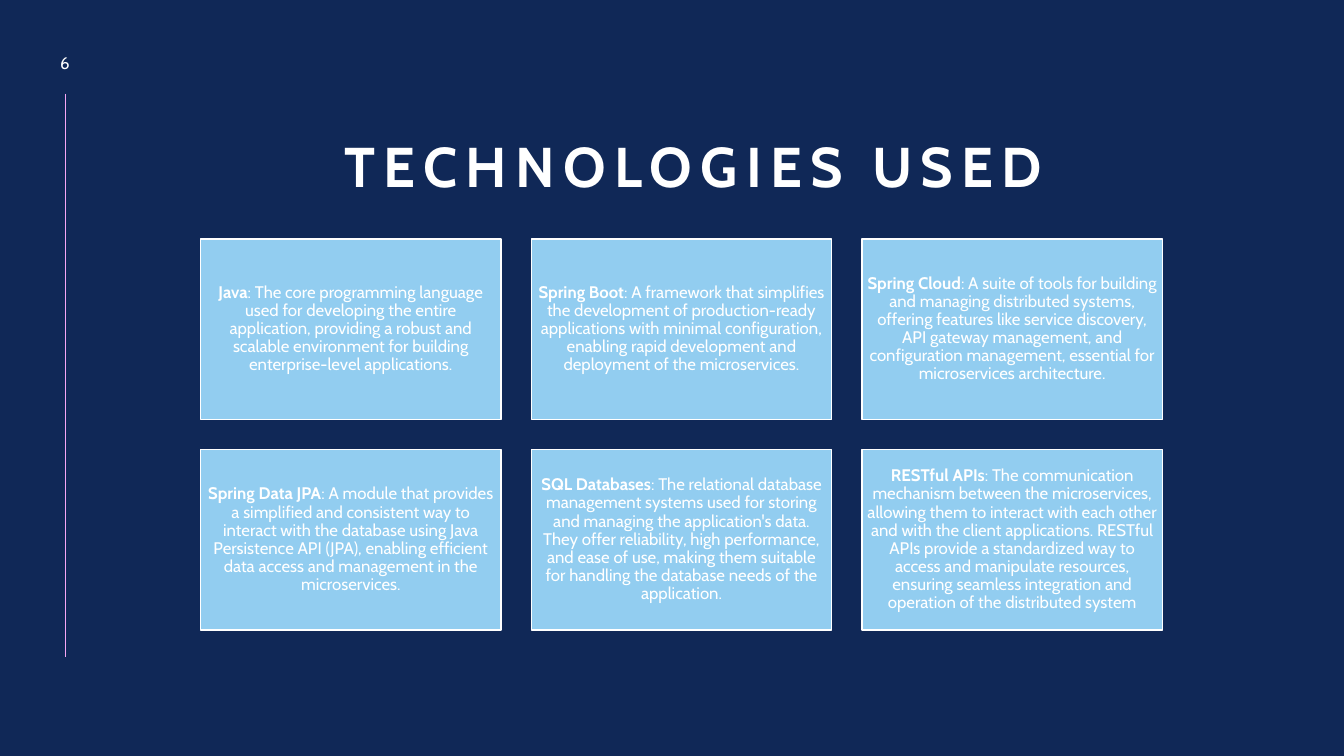
from dataclasses import dataclass

from lxml import etree
from pptx import Presentation
from pptx import util as u
from pptx.dml import color
from pptx.enum import shapes, text
from pptx.oxml import ns

COLOURS = {"navy": "102857", "sky": "92CDF0", "white": "FFFFFF", "pink": "F6A6F4"}
FONT = "Cabin"


@dataclass(frozen=True)
class Technology:
    name: str
    description: str


@dataclass(frozen=True)
class Grid:
    left: float
    top: float
    card_width: float
    card_height: float
    gap: float
    columns: int

    def cell(self, index: int) -> tuple[int, int, int, int]:
        row, column = divmod(index, self.columns)
        left = self.left + column * (self.card_width + self.gap)
        top = self.top + row * (self.card_height + self.gap)
        return inches(left, top, self.card_width, self.card_height)


GRID = Grid(left=1.99, top=2.37, card_width=2.98, card_height=1.79, gap=0.3, columns=3)
TECHNOLOGIES = [
    Technology("Java", "The core programming language used for developing the entire application, "
               "providing a robust and scalable environment for building enterprise-level applications."),
    Technology("Spring Boot", "A framework that simplifies the development of production-ready applications "
               "with minimal configuration, enabling rapid development and deployment of the microservices."),
    Technology("Spring Cloud", "A suite of tools for building and managing distributed systems, offering "
               "features like service discovery, API gateway management, and configuration management, "
               "essential for microservices architecture."),
    Technology("Spring Data JPA", "A module that provides a simplified and consistent way to interact with "
               "the database using Java Persistence API (JPA), enabling efficient data access and "
               "management in the microservices."),
    Technology("SQL Databases", "The relational database management systems used for storing and managing "
               "the application's data. They offer reliability, high performance, and ease of use, making "
               "them suitable for handling the database needs of the application."),
    Technology("RESTful APIs", "The communication mechanism between the microservices, allowing them to "
               "interact with each other and with the client applications. RESTful APIs provide a "
               "standardized way to access and manipulate resources, ensuring seamless integration and "
               "operation of the distributed system"),
]


def inches(*lengths: float) -> tuple[int, ...]:
    return tuple(u.Inches(length) for length in lengths)


def rgb(name: str) -> color.RGBColor:
    return color.RGBColor.from_string(COLOURS[name])


def add_span(para, words: str, *, size: float = 12, bold: bool = False, tracking: float = 0) -> None:
    span = para.add_run()
    span.text = words
    span.font.name = FONT
    span.font.size = u.Pt(size)
    span.font.bold = bold
    span.font.color.rgb = rgb("white")
    if tracking:
        span._r.get_or_add_rPr().set("spc", str(round(tracking * 100)))


def format_frame(box, *, anchor=text.MSO_ANCHOR.MIDDLE, line_spacing: float = 0.9,
                 inset: float | None = None):
    frame = box.text_frame
    frame.word_wrap = True
    frame.auto_size = text.MSO_AUTO_SIZE.NONE
    frame.vertical_anchor = anchor
    if inset is not None:
        frame.margin_left = frame.margin_right = u.Inches(inset)
        frame.margin_top = frame.margin_bottom = u.Inches(inset)
    para = frame.paragraphs[0]
    para.alignment = text.PP_ALIGN.CENTER
    para.line_spacing = line_spacing
    return para


def add_title(page, words: str) -> None:
    title = page.shapes.title
    title.left, title.top, title.width, title.height = inches(0.93, 0.86, 11.9, 1.17)
    para = format_frame(title, anchor=text.MSO_ANCHOR.BOTTOM)
    add_span(para, words, size=40, bold=True, tracking=6)


def add_page_number(page, number: int) -> None:
    box = page.shapes.add_textbox(*inches(0.36, 0.45, 0.57, 0.34))
    add_span(format_frame(box, line_spacing=1.0), str(number))


def add_side_rule(page) -> None:
    rule = page.shapes.add_connector(shapes.MSO_CONNECTOR.STRAIGHT, *inches(0.65, 0.93, 0.65, 6.52))
    rule.line.color.rgb = rgb("pink")
    rule.line.width = u.Pt(0.5)
    etree.SubElement(rule._element.spPr, ns.qn("a:effectLst"))


def add_card(page, technology: Technology, cell: tuple[int, int, int, int]) -> None:
    card = page.shapes.add_shape(shapes.MSO_SHAPE.RECTANGLE, *cell)
    card.shadow.inherit = False
    card.fill.solid()
    card.fill.fore_color.rgb = rgb("sky")
    card.line.color.rgb = rgb("white")
    card.line.width = u.Pt(1)
    para = format_frame(card, inset=0.05)
    add_span(para, technology.name, bold=True)
    add_span(para, f": {technology.description}")


def main() -> None:
    deck = Presentation()
    deck.slide_width, deck.slide_height = inches(13.33, 7.5)
    page = deck.slides.add_slide(deck.slide_layouts.get_by_name("Title Only"))
    page.background.fill.solid()
    page.background.fill.fore_color.rgb = rgb("navy")
    add_side_rule(page)
    add_title(page, "TECHNOLOGIES USED")
    add_page_number(page, 6)
    for index, technology in enumerate(TECHNOLOGIES):
        add_card(page, technology, GRID.cell(index))
    deck.save("out.pptx")


if __name__ == "__main__":
    main()
